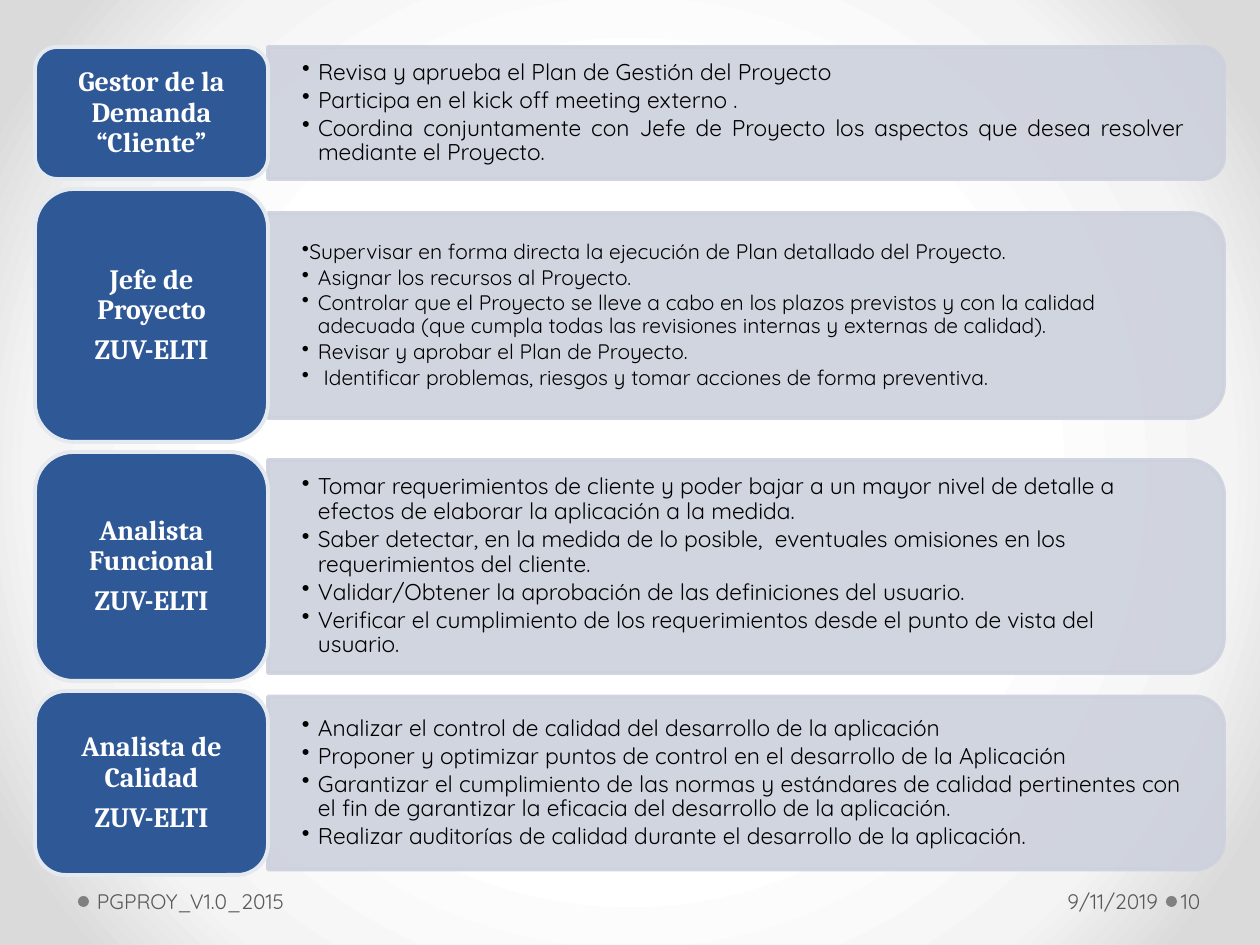
from lxml.etree import SubElement
from pptx import Presentation
from pptx.dml.color import RGBColor
from pptx.enum.shapes import MSO_SHAPE as Shape
from pptx.enum.text import MSO_ANCHOR as Anchor, PP_ALIGN as Align
from pptx.oxml import parse_xml
from pptx.oxml.ns import nsdecls, qn
from pptx.util import Pt

PX = 914400 / 126
NAVY = RGBColor(0x2F, 0x58, 0x97)
PALE = RGBColor(0xE4, 0xE9, 0xEF)
PANEL = RGBColor(0xCD, 0xD1, 0xDD)
WHITE = RGBColor(0xFF, 0xFF, 0xFF)
BLACK = RGBColor(0x00, 0x00, 0x00)
GREY = RGBColor(0x80, 0x80, 0x80)
FOOTER = RGBColor(0x59, 0x59, 0x59)

LABEL_LEFT, LABEL_WIDTH = 35, 233
PANEL_LEFT, PANEL_WIDTH = 268, 956
FIRST_TOP, GAP = 47, 10
INDENT = 16
CORNER_INSET = 0.05

ROLES = [
    (132, 132, 13, ["Gestor de la Demanda “Cliente”"], [
        (Align.JUSTIFY, INDENT, "Revisa y aprueba el Plan de Gestión del Proyecto"),
        (Align.JUSTIFY, INDENT, "Participa en el kick off meeting externo ."),
        (Align.JUSTIFY, INDENT, "Coordina conjuntamente con Jefe de Proyecto los aspectos que desea resolver mediante el Proyecto."),
    ]),
    (253, 205, 12, ["Jefe de Proyecto", "ZUV-ELTI"], [
        (Align.JUSTIFY, 0, "Supervisar en forma directa la ejecución de Plan detallado del Proyecto."),
        (Align.LEFT, INDENT, "Asignar los recursos al Proyecto."),
        (Align.LEFT, INDENT, "Controlar que el Proyecto se lleve a cabo en los plazos previstos y con la calidad adecuada (que cumpla todas las revisiones internas y externas de calidad)."),
        (Align.LEFT, INDENT, "Revisar y aprobar el Plan de Proyecto."),
        (Align.LEFT, INDENT, " Identificar problemas, riesgos y tomar acciones de forma preventiva."),
    ]),
    (229, 213, 13, ["Analista Funcional", "ZUV-ELTI"], [
        (Align.LEFT, INDENT, "Tomar requerimientos de cliente y poder bajar a un mayor nivel de detalle a efectos de elaborar la aplicación a la medida."),
        (Align.LEFT, INDENT, "Saber detectar, en la medida de lo posible,  eventuales omisiones en los requerimientos del cliente."),
        (Align.LEFT, INDENT, "Validar/Obtener la aprobación de las definiciones del usuario."),
        (Align.LEFT, INDENT, "Verificar el cumplimiento de los requerimientos desde el punto de vista del usuario."),
    ]),
    (184, 173, 13, ["Analista de Calidad", "ZUV-ELTI"], [
        (Align.LEFT, INDENT, "Analizar el control de calidad del desarrollo de la aplicación"),
        (Align.LEFT, INDENT, "Proponer y optimizar puntos de control en el desarrollo de la Aplicación"),
        (Align.LEFT, INDENT, "Garantizar el cumplimiento de las normas y estándares de calidad pertinentes con el fin de garantizar la eficacia del desarrollo de la aplicación."),
        (Align.LEFT, INDENT, "Realizar auditorías de calidad durante el desarrollo de la aplicación."),
    ]),
]

FOOTERS = [
    (91, 499, 6, 13, Align.LEFT, "PGPROY_V1.0_2015"),
    (877, 287, 13, 6, Align.RIGHT, "9/11/2019"),
    (1177, 77, 4, 6, Align.LEFT, "10"),
]

deck = Presentation()
deck.slide_width = round(1260 * PX)
deck.slide_height = round(945 * PX)
page = deck.slides.add_slide(deck.slide_layouts[6])
page.element.cSld.insert(0, parse_xml(
    f'<p:bg {nsdecls("p", "a")}><p:bgPr><a:gradFill rotWithShape="1"><a:gsLst>'
    '<a:gs pos="50000"><a:srgbClr val="FFFFFF"/></a:gs>'
    '<a:gs pos="76000"><a:srgbClr val="F4F4F4"/></a:gs>'
    '<a:gs pos="92000"><a:srgbClr val="DADADA"/></a:gs></a:gsLst>'
    '<a:path path="circle"><a:fillToRect l="50000" t="50000" r="50000" b="50000"/></a:path>'
    '</a:gradFill><a:effectLst/></p:bgPr></p:bg>'))


def add_block(kind, left, top, width, height, fill, line=None):
    shape = page.shapes.add_shape(kind, *(round(value * PX) for value in (left, top, width, height)))
    shape.shadow.inherit = False
    shape.fill.solid()
    shape.fill.fore_color.rgb = fill
    if line is None:
        shape.line.fill.background()
    else:
        shape.line.color.rgb = line
        shape.line.width = Pt(2.25)
    return shape


def write(shape, margins, lines, name, size, color, spacing=0, bold=False):
    frame = shape.text_frame
    frame.word_wrap = True
    frame.vertical_anchor = Anchor.MIDDLE
    frame.margin_left, frame.margin_top, frame.margin_right, frame.margin_bottom = (
        round(margin * PX) for margin in margins)
    for index, (align, text) in enumerate(lines):
        para = frame.add_paragraph() if index else frame.paragraphs[0]
        para.text = text
        para.alignment = align
        para.font.name = name
        para.font.size = Pt(size)
        para.font.color.rgb = color
        para.font.bold = bold
        if spacing:
            para.line_spacing = 0.9
            para.space_after = Pt(size * spacing)
    return frame.paragraphs


for left in (1166, 78):
    add_block(Shape.OVAL, left, 896, 11, 11, GREY)

top = FIRST_TOP
for label_height, panel_height, size, titles, duties in ROLES:
    middle = top + label_height / 2
    panel = add_block(Shape.ROUND_2_SAME_RECTANGLE,
                      PANEL_LEFT + (PANEL_WIDTH - panel_height) / 2, middle - PANEL_WIDTH / 2,
                      panel_height, PANEL_WIDTH, PANEL, PANEL)
    panel.rotation = 90
    for color in panel.element.spPr.iter(qn("a:srgbClr")):
        SubElement(color, qn("a:alpha"), val="90000")

    inset = round(panel_height * CORNER_INSET)
    box = page.shapes.add_textbox(*(round(value * PX) for value in (
        PANEL_LEFT, middle - panel_height / 2 + inset, PANEL_WIDTH - inset, panel_height - 2 * inset)))
    paras = write(box, (34, 18, 34, 18), [(align, text) for align, _, text in duties],
                  "Quicksand", size, BLACK, 0.15)
    for para, (_, indent, _) in zip(paras, duties):
        properties = para._p.get_or_add_pPr()
        properties.set("marL", str(round(indent * PX)))
        properties.set("indent", str(round(-indent * PX)))
        SubElement(properties, qn("a:buChar"), char="•")

    label = add_block(Shape.ROUNDED_RECTANGLE, LABEL_LEFT, top, LABEL_WIDTH, label_height, NAVY, PALE)
    write(label, (9, 4, 9, 4), [(Align.CENTER, title) for title in titles],
          "Cambria", 16, WHITE, 0.35, True)
    top += label_height + GAP

for left, width, margin_left, margin_right, align, text in FOOTERS:
    box = page.shapes.add_textbox(*(round(value * PX) for value in (left, 876, width, 50)))
    write(box, (margin_left, 6, margin_right, 6), [(align, text)], "Quicksand", 12, FOOTER)

deck.save("out.pptx")
